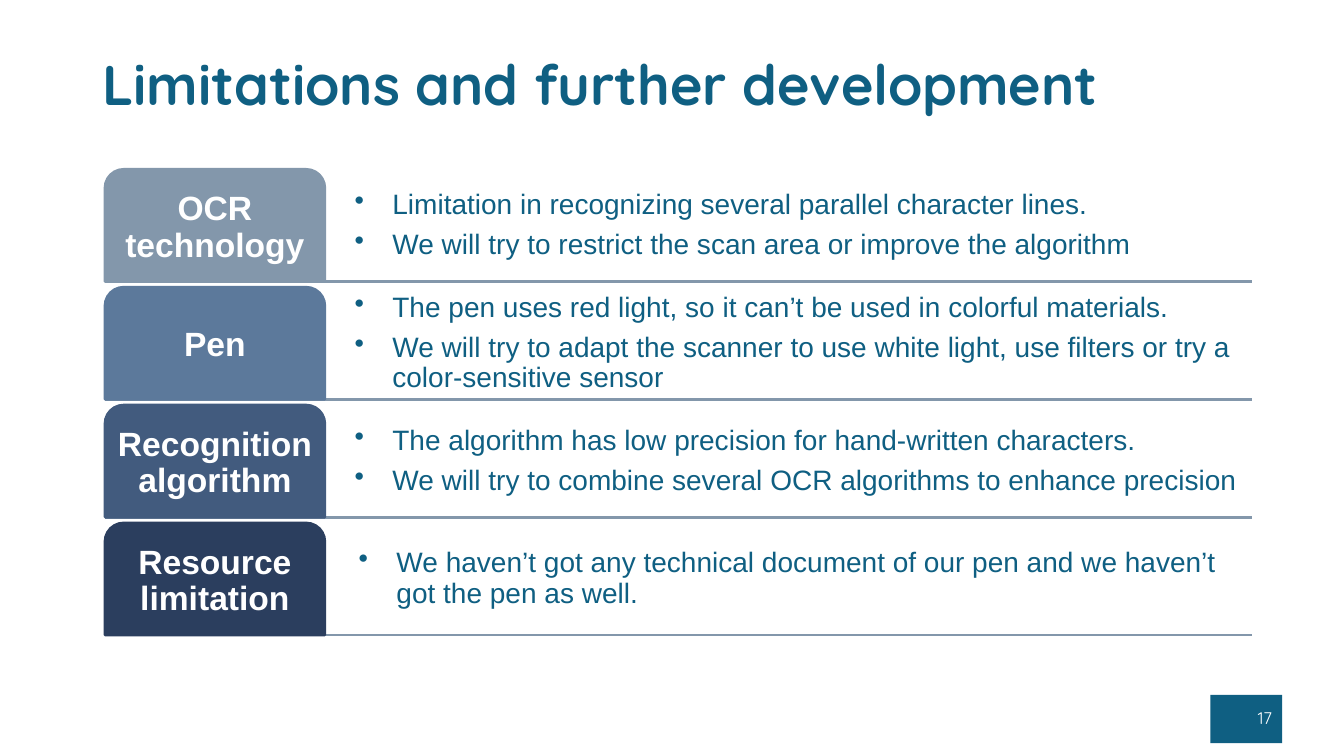
from pptx import Presentation
from pptx.dml.color import RGBColor
from pptx.enum.shapes import MSO_CONNECTOR as LINE, MSO_SHAPE as SHAPE
from pptx.enum.text import MSO_ANCHOR as ANCHOR, PP_ALIGN as ALIGN
from pptx.oxml.ns import qn
from pptx.util import Pt
from lxml.etree import SubElement


def color(code):
    return RGBColor.from_string(code)


def write(shape, lines, size, font, code, align=ALIGN.LEFT, bold=False):
    frame = shape.text_frame
    frame.word_wrap = True
    frame.vertical_anchor = ANCHOR.MIDDLE
    frame.text = "\n".join(lines)
    for para in frame.paragraphs:
        para.alignment = align
        para.line_spacing = 0.9
        para.font.size = Pt(size)
        para.font.name = font
        para.font.bold = bold
        para.font.color.rgb = color(code)
    return frame


TEAL, GRAY, WHITE = "0F5F82", "8397AB", "FFFFFF"
LEFT, TOP, RIGHT = 75, 121, 894.2
TAB, HIGH, STEP = 157, 80, 84.2
BODY = 236

rows = [
    ("OCR technology", GRAY, 17.3, [
        "Limitation in recognizing several parallel character lines.",
        "We will try to restrict the scan area or improve the algorithm"]),
    ("Pen", "5C799B", 17.3, [
        "The pen uses red light, so it can’t be used in colorful materials.",
        "We will try to adapt the scanner to use white light, use filters "
        "or try a color-sensitive sensor"]),
    ("Recognition algorithm", "425B7E", 17.3, [
        "The algorithm has low precision for hand-written characters.",
        "We will try to combine several OCR algorithms to enhance precision"]),
    ("Resource limitation", "2B3E5E", 20.2, [
        "We haven’t got any technical document of our pen and we haven’t "
        "got the pen as well."]),
]

deck = Presentation()
deck.slide_width, deck.slide_height = Pt(960), Pt(540)
slide = deck.slides.add_slide(deck.slide_layouts[6])
shapes = slide.shapes

# Title
title = shapes.add_textbox(Pt(66), Pt(32.4), Pt(828), Pt(60))
write(title, ["Limitations and further development"], 40, "Quicksand", TEAL,
      bold=True)

# Page number
page = shapes.add_shape(SHAPE.RECTANGLE, Pt(864.5), Pt(496.3), Pt(51.3), Pt(34.5))
page.shadow.inherit = False
page.fill.solid()
page.fill.fore_color.rgb = color(TEAL)
page.line.fill.background()
write(page, ["17"], 12, "Quicksand", WHITE, ALIGN.RIGHT)

# Rows: rule, tab and bullets
for i, (name, fill, inset, points) in enumerate(rows):
    top = TOP + i * STEP
    base = Pt(top + HIGH)

    rule = shapes.add_connector(LINE.STRAIGHT, Pt(LEFT), base, Pt(RIGHT), base)
    rule.line.color.rgb = color(GRAY)
    rule.line.width = Pt(2)
    SubElement(rule._element.spPr, qn("a:effectLst"))

    tab = shapes.add_shape(SHAPE.ROUND_2_SAME_RECTANGLE, Pt(LEFT), Pt(top),
                           Pt(TAB), Pt(HIGH))
    tab.shadow.inherit = False
    tab.fill.solid()
    tab.fill.fore_color.rgb = color(fill)
    tab.line.color.rgb = color(fill)
    tab.line.width = Pt(2)
    frame = write(tab, [name], 24, "Arial", WHITE, ALIGN.CENTER, True)
    frame.margin_left = frame.margin_right = Pt(3.4)
    frame.paragraphs[0].space_after = Pt(8.4)

    body = shapes.add_textbox(Pt(BODY), Pt(top), Pt(RIGHT - BODY), Pt(HIGH))
    frame = write(body, points, 20, "Arial", TEAL)
    frame.margin_left, frame.margin_right = Pt(inset), Pt(3.6)
    for para in frame.paragraphs:
        para.space_after = Pt(7)
        props = para._p.get_or_add_pPr()
        props.set("marL", str(Pt(27)))
        props.set("indent", str(-Pt(27)))
        mark = props.makeelement(qn("a:buChar"), {"char": "•"})
        props.insert_element_before(mark, "a:tabLst", "a:defRPr", "a:extLst")

deck.save("out.pptx")
